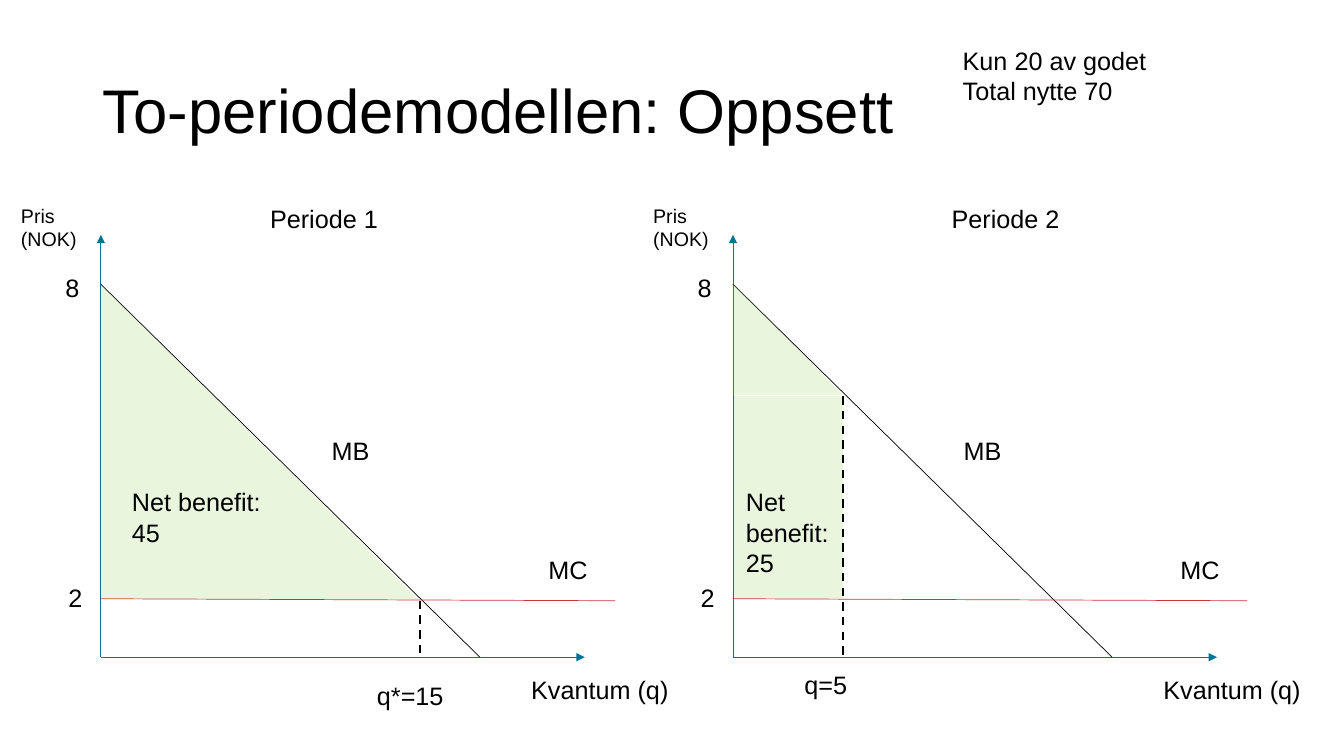
from lxml.etree import SubElement
from pptx import Presentation
from pptx.dml.color import RGBColor
from pptx.enum.dml import MSO_LINE
from pptx.enum.shapes import MSO_CONNECTOR, MSO_SHAPE
from pptx.enum.text import MSO_ANCHOR, MSO_AUTO_SIZE
from pptx.oxml.ns import qn
from pptx.util import Emu, Pt

EMU_PER_PX = 9144
FONT = "Arial"
BLACK = RGBColor(0x00, 0x00, 0x00)
TEAL = RGBColor(0x00, 0x73, 0x96)
RED = RGBColor(0xCB, 0x33, 0x3B)
GREEN = RGBColor(0x92, 0xD0, 0x50)
PANEL_STEP = 627
AXIS_LEFT = 100
AXIS_BOTTOM = 652


def px(length):
    return Emu(length * EMU_PER_PX)


def add_text(page, text, left, top, width, height, size=18,
             anchor=MSO_ANCHOR.TOP, spacing=1.0, grow=True):
    box = page.shapes.add_textbox(px(left), px(top), px(width), px(height))
    frame = box.text_frame
    frame.text = text
    frame.word_wrap = True
    frame.vertical_anchor = anchor
    frame.auto_size = MSO_AUTO_SIZE.SHAPE_TO_FIT_TEXT if grow else MSO_AUTO_SIZE.NONE
    for para in frame.paragraphs:
        para.line_spacing = spacing
        for span in para.runs:
            span.font.name = FONT
            span.font.size = Pt(size)
            span.font.color.rgb = BLACK


def add_line(page, start, end, color=BLACK, width=0.5, dashed=False, arrow=False):
    line = page.shapes.add_connector(
        MSO_CONNECTOR.STRAIGHT, *(px(value) for value in start + end))
    line.line.color.rgb = color
    line.line.width = Pt(width)
    if dashed:
        line.line.dash_style = MSO_LINE.DASH
    if arrow:
        SubElement(line.line._get_or_add_ln(), qn("a:tailEnd"), type="triangle")
    SubElement(line._element.spPr, qn("a:effectLst"))


def add_area(page, kind, left, top, width, height):
    area = page.shapes.add_shape(kind, px(left), px(top), px(width), px(height))
    area.shadow.inherit = False
    area.line.fill.background()
    area.fill.solid()
    area.fill.fore_color.rgb = GREEN
    color = area._element.spPr.find(qn("a:solidFill"))[0]
    SubElement(color, qn("a:alpha"), val="20000")
    return area


def add_benefit_triangle(page, left, top, width, height):
    triangle = add_area(page, MSO_SHAPE.ISOSCELES_TRIANGLE, left, top, width, height)
    triangle.adjustments[0] = 1
    triangle.rotation = 90


def add_market(page, shift):
    left = AXIS_LEFT + shift
    origin = (left, AXIS_BOTTOM)
    add_line(page, origin, (left, 233), TEAL, arrow=True)
    add_line(page, origin, (left + 480, AXIS_BOTTOM), TEAL, arrow=True)
    add_line(page, (left, 282), (left + 376, AXIS_BOTTOM))
    add_line(page, (left, 594), (left + 510, 596), RED)
    add_text(page, "Pris\v(NOK)", left - 89, 197, 97, 57, size=14)
    for text, offset, top, width in (
        ("Kvantum (q)", 417, 664, 168),
        ("MC", 434, 545, 114),
        ("MB", 219, 427, 82),
        ("8", -45, 265, 32),
        ("2", -42, 573, 32),
    ):
        add_text(page, text, left + offset, top, width, 40)


def main():
    deck = Presentation()
    deck.slide_width, deck.slide_height = px(1333), px(750)
    page = deck.slides.add_slide(deck.slide_layouts[6])

    add_area(page, MSO_SHAPE.RECTANGLE, 727, 393, 109, 201)
    add_text(page, "To-periodemodellen: Oppsett", 92, 40, 1150, 145, size=44,
             anchor=MSO_ANCHOR.MIDDLE, spacing=0.9, grow=False)

    add_market(page, 0)
    add_line(page, (417, 596), (417, AXIS_BOTTOM), width=1.5, dashed=True)
    add_benefit_triangle(page, 101, 281, 312, 314)
    add_text(page, "q*=15", 364, 670, 119, 40)
    add_text(page, "Net benefit: 45", 121, 478, 168, 71)
    add_text(page, "Periode 1", 258, 197, 207, 40)

    add_market(page, PANEL_STEP)
    add_line(page, (836, 393), (836, AXIS_BOTTOM), width=1.5, dashed=True)
    add_benefit_triangle(page, 726, 282, 111, 109)
    add_text(page, "q=5", 788, 659, 119, 40)
    add_text(page, "Net benefit:\n25", 730, 478, 107, 101)
    add_text(page, "Periode 2", 934, 197, 207, 40)

    add_text(page, "Kun 20 av godet\nTotal nytte 70", 945, 40, 277, 71)
    deck.save("out.pptx")


if __name__ == "__main__":
    main()
